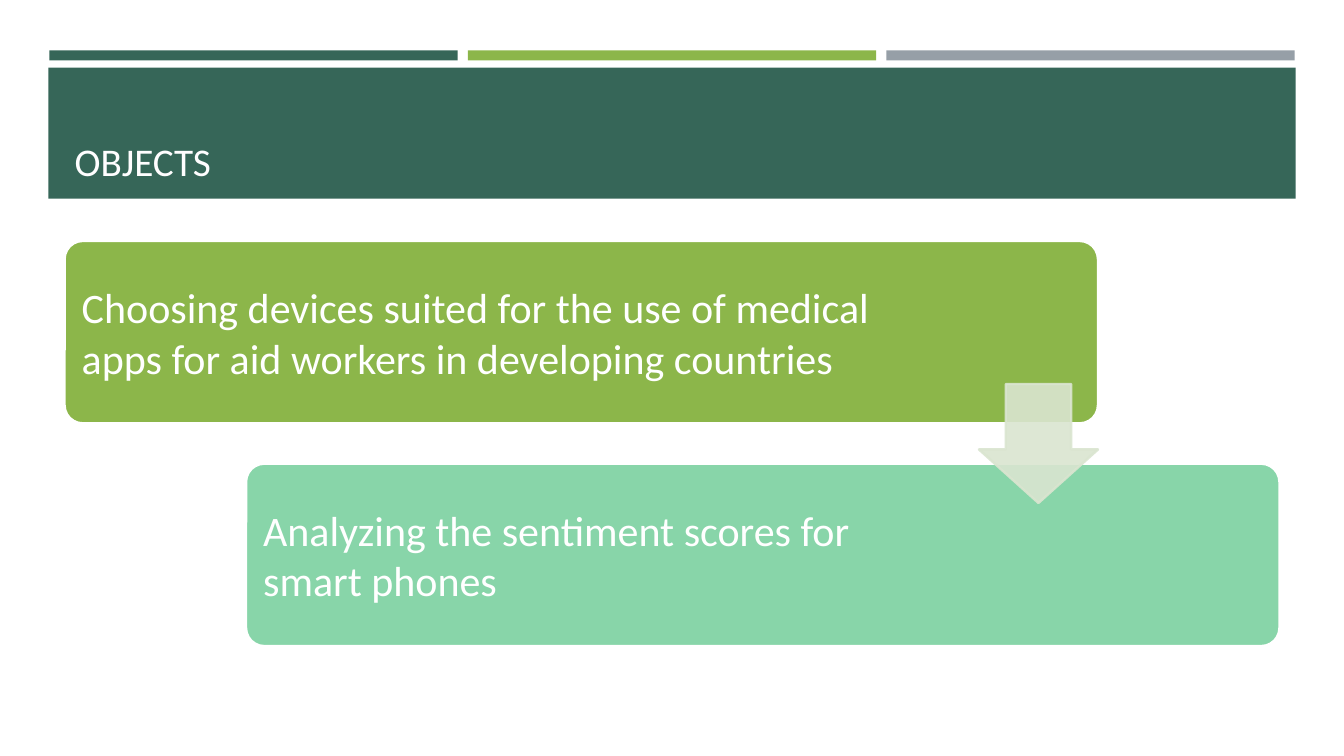
"""Build the Objects slide: a banner title and two staggered steps joined by an arrow."""
from lxml import etree
from pptx import Presentation
from pptx.dml.color import RGBColor
from pptx.enum.shapes import MSO_SHAPE
from pptx.enum.text import MSO_ANCHOR, PP_ALIGN
from pptx.oxml.ns import qn
from pptx.util import Emu, Pt

RECT, ROUNDED, ARROW = MSO_SHAPE.RECTANGLE, MSO_SHAPE.ROUNDED_RECTANGLE, MSO_SHAPE.DOWN_ARROW
MIDDLE, BOTTOM, LEFT = MSO_ANCHOR.MIDDLE, MSO_ANCHOR.BOTTOM, PP_ALIGN.LEFT

COLORS = {"pine": "366658", "lime": "8CB64A", "gray": "969FA7", "mint": "88D5A9",
          "pale": "DAE5D0", "white": "FFFFFF", "title": "FFFEFF"}
TITLE = "OBJECTS"
STRIPES = ["pine", "lime", "gray"]
STEPS = [
    ("Choosing devices suited for the use of medical apps for aid workers in developing countries",
     "lime", 838),
    ("Analyzing the sentiment scores for\nsmart phones", "mint", 716),
]
STRIPE_LEFT, STRIPE_TOP, STRIPE_W, STRIPE_H, STRIPE_STEP = 49, 50, 405, 10, 415
BANNER = (48, 67, 1237, 130)
TITLE_BOX = (64, 77, 1206, 111)
STEP_LEFT, STEP_TOP, STEP_W, STEP_H = 64, 239, 1025, 181
STEP_DX, STEP_DY, STEP_PAD = 180, 221, 5
ARROW_BOX = (971, 381, 118, 118)


def px(n):
    return Emu(n * 9144)


def rgb(name):
    return RGBColor.from_string(COLORS[name])


def add_block(slide, kind, box, color, line=None, adj=(), alpha=None):
    sp = slide.shapes.add_shape(kind, *map(px, box))
    sp.shadow.inherit = False
    sp.fill.solid()
    sp.fill.fore_color.rgb = rgb(color)
    if line:
        sp.line.color.rgb = rgb(line)
        sp.line.width = Pt(1.75)
    else:
        sp.line.fill.background()
    for i, value in enumerate(adj):
        sp.adjustments[i] = value
    if alpha:
        for clr in sp.fill._xPr.iter(qn("a:srgbClr")):
            etree.SubElement(clr, qn("a:alpha")).set("val", str(alpha * 1000))


def write(sp, text, size, color, anchor, inset=None):
    tf = sp.text_frame
    tf.word_wrap = True
    tf.vertical_anchor = anchor
    if inset is not None:
        tf.margin_left = tf.margin_right = tf.margin_top = tf.margin_bottom = px(inset)
    p = tf.paragraphs[0]
    p.text = text
    p.alignment = LEFT
    for r in p.runs:
        r.font.name = "Calibri"
        r.font.size = Pt(size)
        r.font.color.rgb = rgb(color)


def main():
    prs = Presentation()
    prs.slide_width, prs.slide_height = px(1333), px(750)
    slide = prs.slides.add_slide(prs.slide_layouts[5])

    for i, color in enumerate(STRIPES):
        add_block(slide, RECT, (STRIPE_LEFT + i * STRIPE_STEP, STRIPE_TOP, STRIPE_W, STRIPE_H), color)
    add_block(slide, RECT, BANNER, "pine")

    title = slide.shapes.title
    title.left, title.top, title.width, title.height = map(px, TITLE_BOX)
    write(title, TITLE, 28, "title", BOTTOM)
    tree = title.element.getparent()
    tree.remove(title.element)
    tree.append(title.element)

    for i, (text, color, text_w) in enumerate(STEPS):
        x, y = STEP_LEFT + i * STEP_DX, STEP_TOP + i * STEP_DY
        add_block(slide, ROUNDED, (x, y, STEP_W, STEP_H), color, line="white", adj=[0.1])
        box = (x + STEP_PAD, y + STEP_PAD, text_w, STEP_H - 2 * STEP_PAD)
        write(slide.shapes.add_textbox(*map(px, box)), text, 30, "white", MIDDLE, inset=12)
    add_block(slide, ARROW, ARROW_BOX, "pale", line="pale", adj=[0.55, 0.45], alpha=90)

    prs.save("out.pptx")


if __name__ == "__main__":
    main()
